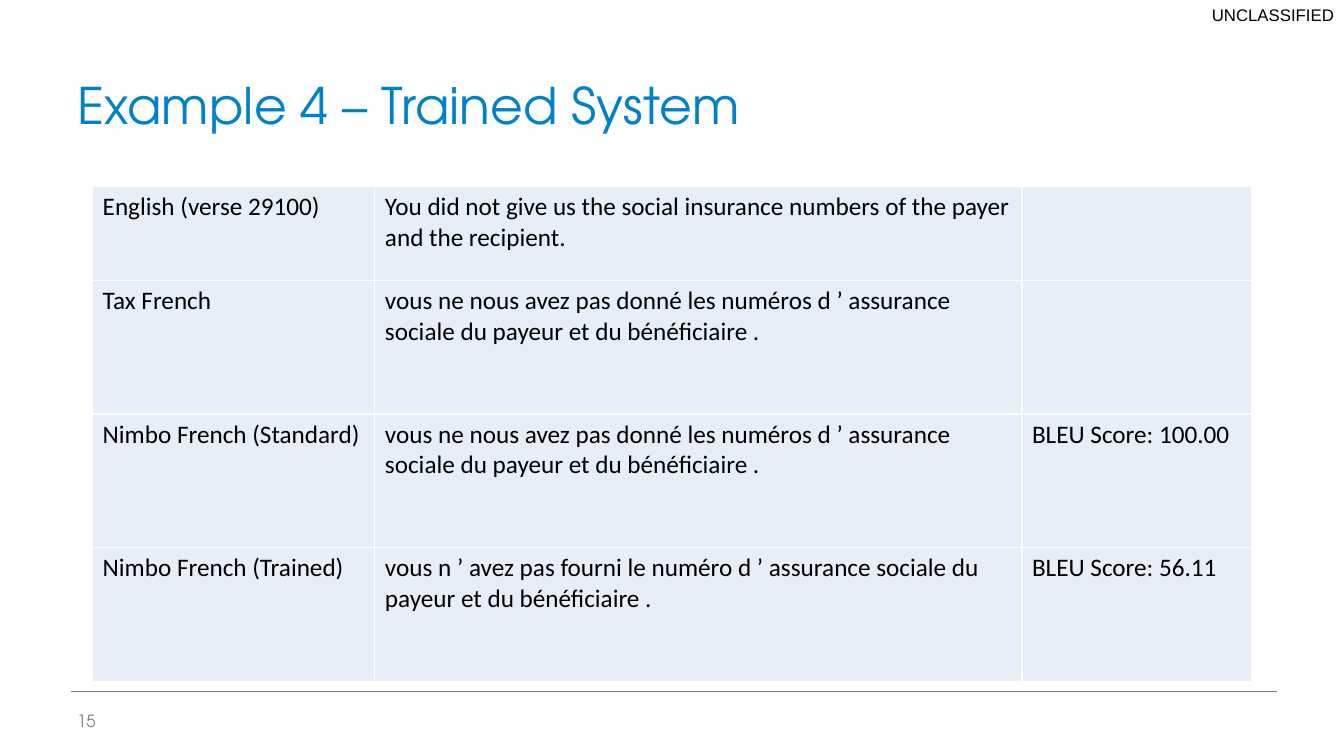
from pptx import Presentation
from pptx.dml.color import RGBColor
from pptx.enum.shapes import MSO_CONNECTOR
from pptx.enum.text import MSO_ANCHOR, PP_ALIGN
from pptx.oxml.ns import qn
from pptx.util import Pt
from lxml import etree

STRAIGHT = MSO_CONNECTOR.STRAIGHT
TOP, MIDDLE, BOTTOM = MSO_ANCHOR.TOP, MSO_ANCHOR.MIDDLE, MSO_ANCHOR.BOTTOM
LEFT, RIGHT = PP_ALIGN.LEFT, PP_ALIGN.RIGHT

BLACK = RGBColor(0x00, 0x00, 0x00)
WHITE = RGBColor(0xFF, 0xFF, 0xFF)
BLUE = RGBColor(0x00, 0x82, 0xC9)
GRAY = RGBColor(0x7F, 0x7F, 0x7F)
PALE_BLUE = RGBColor(0xE7, 0xEE, 0xF7)

HEADING_FONT = "TeX Gyre Adventor"
BODY_FONT = "Calibri"
MARKING_FONT = "Arial"

SLIDE_WIDTH, SLIDE_HEIGHT = 960, 540
COLUMN_WIDTHS = (201.6, 462.2, 164.2)
ROW_HEIGHTS = (67, 95.6, 95.6, 95.6)
REFERENCE = ("vous ne nous avez pas donné les numéros d ’ assurance "
             "sociale du payeur et du bénéficiaire .")
TRANSLATIONS = (
    ("English (verse 29100)",
     "You did not give us the social insurance numbers of the payer "
     "and the recipient.", ""),
    ("Tax French", REFERENCE, ""),
    ("Nimbo French (Standard)", REFERENCE, "BLEU Score: 100.00"),
    ("Nimbo French (Trained)",
     "vous n ’ avez pas fourni le numéro d ’ assurance sociale du "
     "payeur et du bénéficiaire .", "BLEU Score: 56.11"),
)


def add_span(para, text, font, size, color):
    span = para.add_run()
    span.text = text
    span.font.name = font
    span.font.size = Pt(size)
    span.font.color.rgb = color


def add_text(page, box, text, font, size, color, anchor=TOP, align=LEFT):
    frame = page.shapes.add_textbox(*map(Pt, box)).text_frame
    frame.word_wrap = True
    frame.vertical_anchor = anchor
    para = frame.paragraphs[0]
    para.alignment = align
    add_span(para, text, font, size, color)


def add_borders(cell, color, width):
    properties = cell._tc.get_or_add_tcPr()
    for side in ("a:lnL", "a:lnR", "a:lnT", "a:lnB"):
        border = etree.SubElement(properties, qn(side), w=str(Pt(width)))
        fill = etree.SubElement(border, qn("a:solidFill"))
        etree.SubElement(fill, qn("a:srgbClr"), val=str(color))


def add_header(page, box):
    left, top, width, height = box
    # Security marking
    add_text(page, (left, top, width, 21.6), "UNCLASSIFIED",
             MARKING_FONT, 12, BLACK, align=RIGHT)
    # Title
    add_text(page, (left + 48, top + 21.6, width - 96, height - 21.6),
             "Example 4 – Trained System", HEADING_FONT, 36, BLUE, BOTTOM)


def add_translation_table(page, box):
    table = page.shapes.add_table(
        len(ROW_HEIGHTS), len(COLUMN_WIDTHS), *map(Pt, box)).table
    table.first_row = False
    table.horz_banding = False
    for column, width in zip(table.columns, COLUMN_WIDTHS):
        column.width = Pt(width)
    for row, height, texts in zip(table.rows, ROW_HEIGHTS, TRANSLATIONS):
        row.height = Pt(height)
        for cell, text in zip(row.cells, texts):
            add_borders(cell, WHITE, 1)
            cell.fill.solid()
            cell.fill.fore_color.rgb = PALE_BLUE
            if text:
                para = cell.text_frame.paragraphs[0]
                add_span(para, text, BODY_FONT, 18, BLACK)


def add_footer(page, box):
    left, top, width, height = box
    # Rule above the page number
    rule = page.shapes.add_connector(
        STRAIGHT, Pt(left + 3), Pt(top), Pt(left + width), Pt(top))
    rule.line.color.rgb = GRAY
    rule.line.width = Pt(0.25)
    etree.SubElement(rule._element.spPr, qn("a:effectLst"))
    # Page number
    add_text(page, (left, top + 6.4, 103, height - 6.4), "15",
             HEADING_FONT, 12, GRAY, MIDDLE)


def main():
    deck = Presentation()
    deck.slide_width, deck.slide_height = Pt(SLIDE_WIDTH), Pt(SLIDE_HEIGHT)
    page = deck.slides.add_slide(deck.slide_layouts[6])
    add_header(page, (0, 0, SLIDE_WIDTH, 99.4))
    add_footer(page, (48, 494, 864, 35.2))
    add_translation_table(
        page, (66.2, 133.2, sum(COLUMN_WIDTHS), sum(ROW_HEIGHTS)))
    deck.save("out.pptx")


if __name__ == "__main__":
    main()
